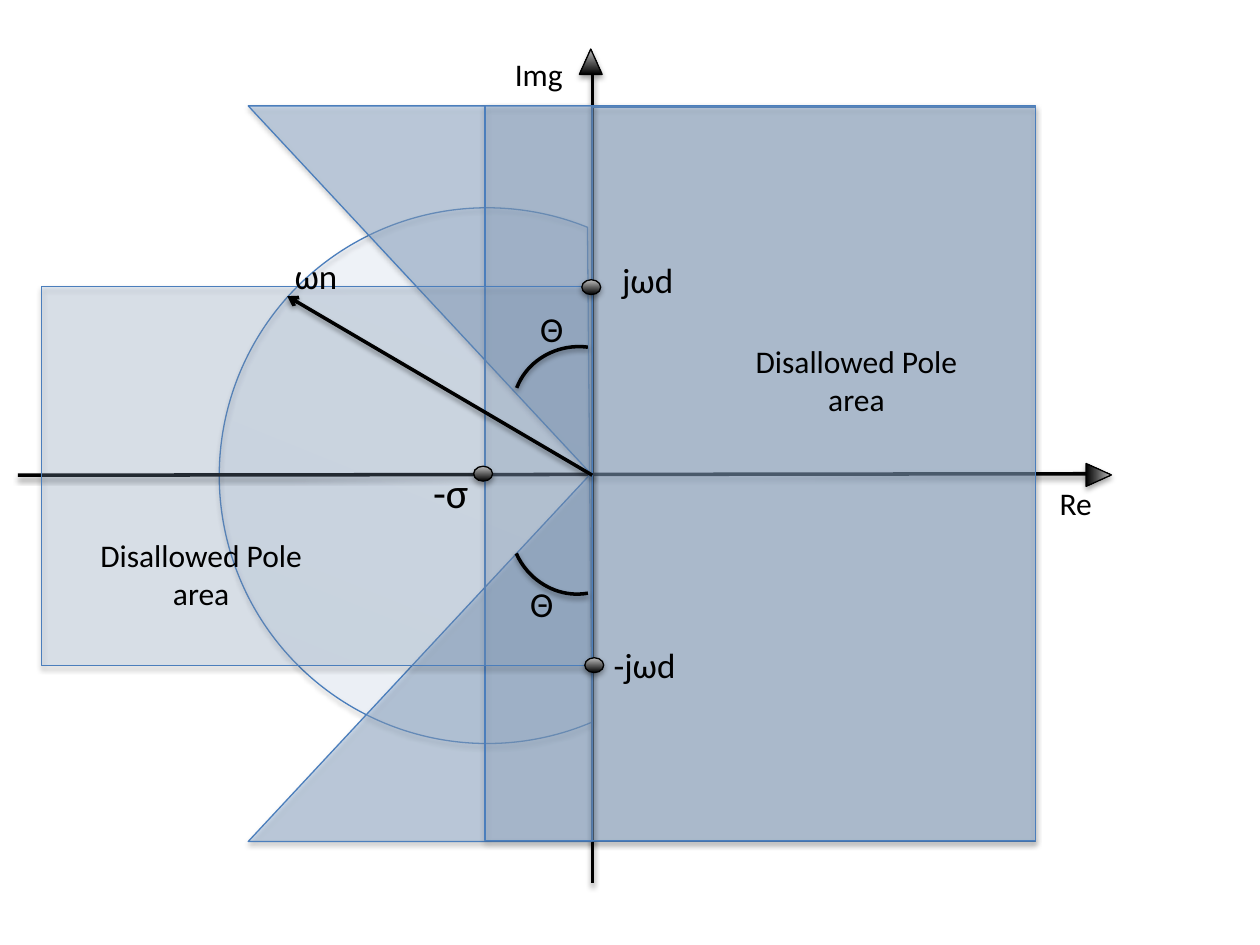
from lxml.etree import SubElement
from pptx import Presentation
from pptx.dml.color import RGBColor
from pptx.enum.shapes import MSO_CONNECTOR, MSO_SHAPE
from pptx.enum.text import MSO_AUTO_SIZE, PP_ALIGN
from pptx.oxml.ns import qn
from pptx.util import Cm, Pt

INK = {"black": "000000", "grey": "BDBDBD", "edge": "4B7EBC",
       "area": "95B3D7", "deep": "3F80CE", "pale": "A4C4FF"}
FONT = "Calibri"

# Lengths in cm: left, top, width, height
DISC = (4.42, 4.19, 10.8, 10.8)
AXES = [(11.94, 1.52, 11.94, 17.81), (0.36, 9.58, 21.92, 9.55)]
RADIUS = (11.94, 9.58, 5.79, 5.97)
RECT, WEDGE = MSO_SHAPE.RECTANGLE, MSO_SHAPE.RIGHT_TRIANGLE
# kind, box, opacity in percent, turn, flips
AREAS = [
    (RECT, (11.94, 2.16, 8.94, 14.81), 38, 0, ""),
    (WEDGE, (4.75, 2.39, 7.44, 6.93), 45, 270, "H"),
    (WEDGE, (4.75, 9.78, 7.44, 6.93), 45, 90, "HV"),
    (RECT, (9.78, 2.13, 11.1, 14.81), 23, 0, ""),
    (RECT, (0.84, 5.77, 11.1, 7.65), 23, 0, ""),
]
ARCS = [((10.34, 6.99, 2.59, 2.39), 169.8), ((10.24, 9.53, 2.59, 2.39), 48.6)]
SWEEP = (149.732, 199.842)
POLES = [(11.73, 5.64), (9.55, 9.4), (11.79, 13.26)]
TIPS = [(11.68, 0.99, 0), (21.92, 9.32, 90)]
# text, left, top, width, height, format
LABELS = [
    ("Θ", 10.64, 6.07, 1.47, 1.12, {}),
    ("Θ", 10.44, 11.61, 1.47, 1.12, {}),
    ("-σ", 8.48, 9.27, 1.47, 1.27, {"size": 24}),
    ("jωd", 12.29, 5.08, 1.96, 1.12, {}),
    ("-jωd", 12.12, 12.85, 1.96, 1.12, {}),
    ("ωn", 5.69, 5, 1.96, 1.12, {}),
    ("Img", 10.13, 0.99, 2.72, 1.07, {"size": 18}),
    ("Re", 21.11, 9.63, 2.72, 1.07, {"size": 18}),
    ("Disallowed Pole area", 14.66, 6.78, 5.21, 1.8,
     {"size": 18, "align": PP_ALIGN.CENTER}),
    ("Disallowed Pole area", 1.45, 10.69, 5.21, 1.8,
     {"size": 18, "align": PP_ALIGN.CENTER}),
]


def rgb(name):
    """Look up a colour by name."""
    return RGBColor.from_string(INK[name])


def fade(root, alpha):
    """Give every colour under root an opacity in percent."""
    for col in list(root.iter(qn("a:srgbClr"))):
        SubElement(col, qn("a:alpha")).set("val", str(alpha * 1000))


def trim(item, edge, width, alpha, drop):
    """Set the outline and the soft shadow below it."""
    item.line.color.rgb = rgb(edge)
    item.line.width = Pt(width)
    props = item._element.spPr
    for old in props.findall(qn("a:effectLst")):
        props.remove(old)
    glow = SubElement(SubElement(props, qn("a:effectLst")), qn("a:outerShdw"))
    for key, val in (("blurRad", Pt(3.1)), ("dist", Pt(drop)),
                     ("dir", 5400000), ("rotWithShape", 0)):
        glow.set(key, str(val))
    SubElement(glow, qn("a:srgbClr")).set("val", INK["black"])
    fade(glow, alpha)


def shape(kind, box, turn=0, flips=""):
    """Add a preset shape, turned and flipped."""
    item = slide.shapes.add_shape(kind, *map(Cm, box))
    item.rotation = turn
    for axis in flips:
        item._element.spPr.find(qn("a:xfrm")).set("flip" + axis, "1")
    return item


def blend(item, low, high, edge, alpha=100):
    """Fill a shape with an upward gradient and outline it."""
    item.fill.gradient()
    item.fill.gradient_angle = 90
    for stop, name, pos in zip(item.fill.gradient_stops, (low, high), (0, 1)):
        stop.color.rgb = rgb(name)
        stop.position = pos
    if alpha < 100:
        fade(item._element.spPr, alpha)
    trim(item, edge, 0.75, 35, 1.8)


def line(ends, arrow=False):
    """Add a straight black line, with an arrowhead if asked."""
    item = slide.shapes.add_connector(MSO_CONNECTOR.STRAIGHT, *map(Cm, ends))
    trim(item, "black", 2, 38, 1.6)
    if arrow:
        stroke = item._element.spPr.find(qn("a:ln"))
        SubElement(stroke, qn("a:tailEnd")).set("type", "arrow")


def write(text, *box, size=20, align=PP_ALIGN.LEFT):
    """Add a text box."""
    frame = slide.shapes.add_textbox(*map(Cm, box)).text_frame
    frame.word_wrap = True
    frame.auto_size = MSO_AUTO_SIZE.SHAPE_TO_FIT_TEXT
    para = frame.paragraphs[0]
    para.alignment = align
    run = para.add_run()
    run.text = text
    run.font.name, run.font.size = FONT, Pt(size)
    run.font.color.rgb = rgb("black")


deck = Presentation()
deck.slide_width, deck.slide_height = Cm(25.4), Cm(19.05)
slide = deck.slides.add_slide(deck.slide_layouts[6])

blend(shape(MSO_SHAPE.CHORD, DISC, 22), "deep", "pale", "edge", 8)
for ends in AXES:
    line(ends)
for kind, box, alpha, turn, flips in AREAS:
    area = shape(kind, box, turn, flips)
    area.fill.solid()
    area.fill.fore_color.rgb = rgb("area")
    fade(area._element.spPr, alpha)
    trim(area, "edge", 0.75, 35, 1.8)
for box, turn in ARCS:
    arc = shape(MSO_SHAPE.ARC, box, turn, "V")
    arc.adjustments[0], arc.adjustments[1] = SWEEP
    arc.fill.background()
    trim(arc, "black", 2, 38, 1.6)
for left, top in POLES:
    blend(shape(MSO_SHAPE.OVAL, (left, top, 0.38, 0.3)),
          "black", "grey", "black")
for left, top, turn in TIPS:
    blend(shape(MSO_SHAPE.ISOSCELES_TRIANGLE, (left, top, 0.46, 0.51), turn),
          "black", "grey", "black")
line(RADIUS, arrow=True)
for text, *box, style in LABELS:
    write(text, *box, **style)

deck.save("out.pptx")
